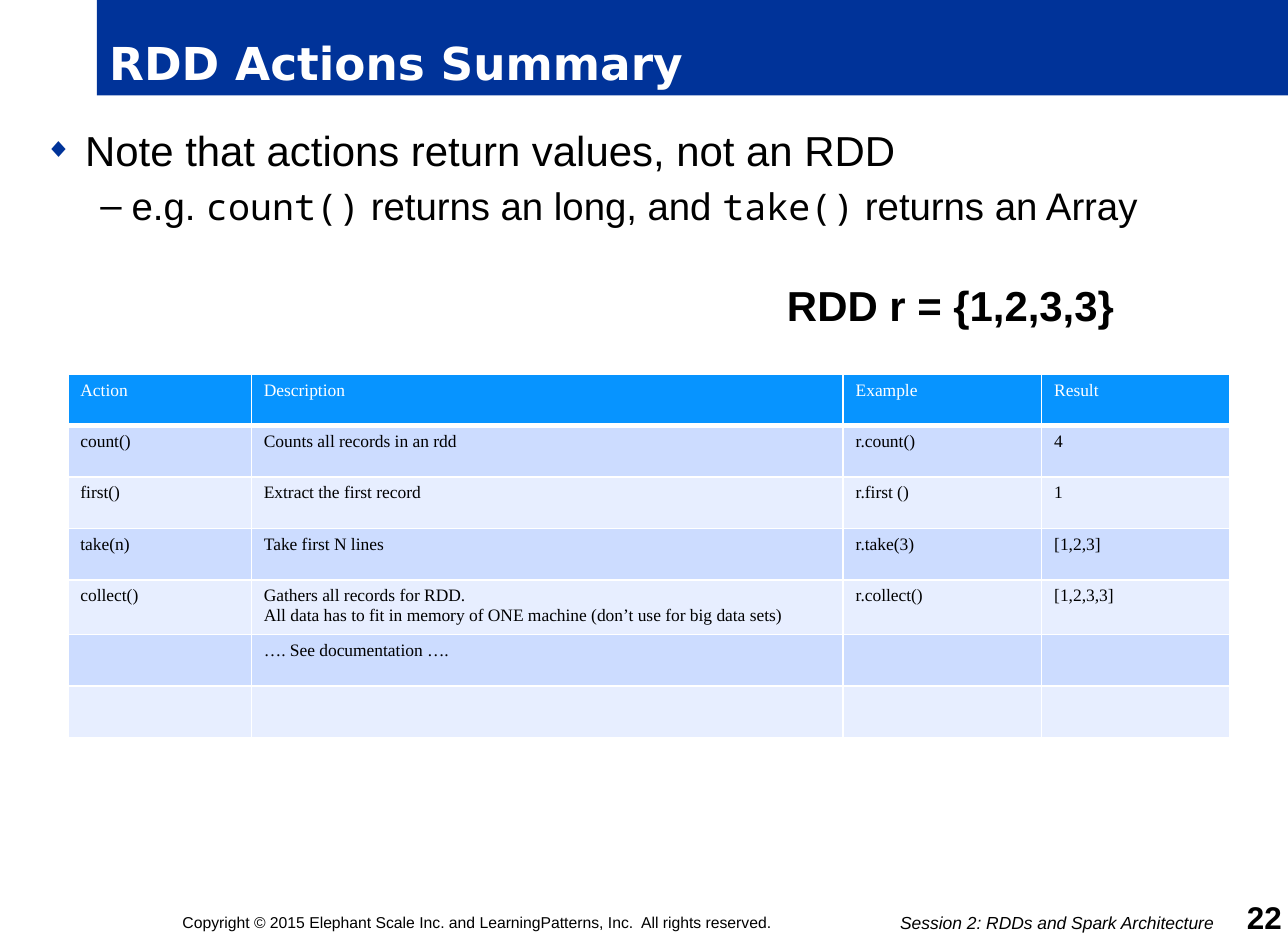
import pptx
import pptx.dml.color
import pptx.enum.shapes
import pptx.enum.text
import pptx.oxml
import pptx.oxml.ns
import pptx.util

Inches = pptx.util.Inches
Pt = pptx.util.Pt
RGBColor = pptx.dml.color.RGBColor
Align = pptx.enum.text.PP_ALIGN
Anchor = pptx.enum.text.MSO_ANCHOR

NAVY = RGBColor(0x00, 0x33, 0x99)
WHITE = RGBColor(0xFF, 0xFF, 0xFF)
BLACK = RGBColor(0x00, 0x00, 0x00)
HEADER_BLUE = RGBColor(0x07, 0x94, 0xFF)
BANDS = [RGBColor(0xE7, 0xEE, 0xFF), RGBColor(0xCC, 0xDC, 0xFF)]
NAMESPACE = pptx.oxml.ns.nsdecls("a")

ACTIONS = [
    ["Action", "Description", "Example", "Result"],
    ["count()", "Counts all records in an rdd", "r.count()", "4"],
    ["first()", "Extract the first record", "r.first ()", "1"],
    ["take(n)", "Take first N lines", "r.take(3)", "[1,2,3]"],
    ["collect()", "Gathers all records for RDD.\nAll data has to fit in memory of ONE machine "
     "(don’t use for big data sets)", "r.collect()", "[1,2,3,3]"],
    ["", "…. See documentation ….", "", ""],
    ["", "", "", ""],
]


def apply_format(target, values):
    """Set each named attribute on the target."""
    for name, value in values.items():
        setattr(target, name, value)


class SlideBuilder:
    """Adds styled elements to the current slide."""

    sans = {"name": "Arial"}
    code = {"name": "Noto Sans Mono", "size": Pt(21)}
    cell_font = {"name": "Times New Roman", "size": Pt(10)}

    def __init__(self, page):
        self.page = page

    def frame(self, box, anchor=Anchor.TOP, margins=(0.1, 0.05, 0.1, 0.05)):
        """Set wrapping, anchor and margins of a text frame."""
        sides = ["margin_left", "margin_top", "margin_right", "margin_bottom"]
        apply_format(box.text_frame, {"word_wrap": True, "vertical_anchor": anchor})
        apply_format(box.text_frame, dict(zip(sides, map(Inches, margins))))
        return box.text_frame

    def span(self, para, text, font, color=BLACK):
        """Add one formatted run."""
        span = para.add_run()
        span.text = text
        apply_format(span.font, font)
        span.font.color.rgb = color

    def title(self, place, text):
        """Add the title bar."""
        bar = self.page.shapes.add_shape(
            pptx.enum.shapes.MSO_SHAPE.RECTANGLE, *map(Inches, place))
        bar.shadow.inherit = False
        bar.fill.solid()
        bar.fill.fore_color.rgb = NAVY
        bar.line.fill.background()
        para = self.frame(bar, Anchor.BOTTOM).paragraphs[0]
        para.alignment = Align.LEFT
        self.span(para, text, {"name": "DejaVu Sans", "size": Pt(26), "bold": True}, WHITE)

    def label(self, place, text, font, align=Align.CENTER, **layout):
        """Add a text box with one line."""
        box = self.page.shapes.add_textbox(*map(Inches, place))
        para = self.frame(box, **layout).paragraphs[0]
        para.alignment = align
        self.span(para, text, self.sans | font)

    def bullets(self, place, items):
        """Add a bulleted list of mixed runs."""
        box = self.page.shapes.add_textbox(*map(Inches, place))
        frame = self.frame(box, margins=(0.1, 0.09, 0.1, 0.05))
        for index, (mark, color, scale, left, hang, before, spans) in enumerate(items):
            para = frame.add_paragraph() if index else frame.paragraphs[0]
            properties = para._p.get_or_add_pPr()
            properties.set("marL", str(Inches(left)))
            properties.set("indent", str(Inches(-hang)))
            properties.set("lvl", str(index))
            for element in (f'<a:buClr {NAMESPACE}><a:srgbClr val="{color}"/></a:buClr>',
                            f'<a:buSzPct {NAMESPACE} val="{scale * 1000}"/>',
                            f'<a:buFont {NAMESPACE} typeface="Arial"/>',
                            f'<a:buChar {NAMESPACE} char="{mark}"/>'):
                properties.append(pptx.oxml.parse_xml(element))
            para.space_before = Pt(before)
            for text, font in spans:
                self.span(para, text, font)

    def border(self, cell, bottom):
        """Draw white lines around a cell."""
        for side, width in {"L": 1, "R": 1, "T": 1, "B": bottom}.items():
            cell._tc.get_or_add_tcPr().append(pptx.oxml.parse_xml(
                f'<a:ln{side} {NAMESPACE} w="{Pt(width)}"><a:solidFill>'
                f'<a:srgbClr val="{WHITE}"/></a:solidFill></a:ln{side}>'))

    def table(self, place, rows, widths, height):
        """Add a banded table with a header row."""
        grid = self.page.shapes.add_table(
            len(rows), len(widths), *map(Inches, place)).table
        for column, width in zip(grid.columns, widths):
            column.width = Inches(width)
        for index, texts in enumerate(rows):
            grid.rows[index].height = Inches(height)
            for column, text in enumerate(texts):
                cell = grid.cell(index, column)
                self.border(cell, 1 if index else 3)
                cell.fill.solid()
                cell.fill.fore_color.rgb = BANDS[index % 2] if index else HEADER_BLUE
                for number, line in enumerate(text.splitlines()):
                    frame = cell.text_frame
                    para = frame.add_paragraph() if number else frame.paragraphs[0]
                    font = self.cell_font | {"bold": False}
                    self.span(para, line, font, BLACK if index else WHITE)


def main():
    """Build and save the slide."""
    deck = pptx.Presentation()
    apply_format(deck, {"slide_width": Inches(10.25), "slide_height": Inches(7.5)})
    builder = SlideBuilder(deck.slides.add_slide(deck.slide_layouts[6]))
    large = builder.sans | {"size": Pt(24)}
    medium = builder.sans | {"size": Pt(22)}
    flush = {"margins": (0, 0, 0, 0)}

    builder.title((0.77, 0, 9.48, 0.76), "RDD Actions Summary")
    builder.bullets((0.26, 0.9, 9.74, 1.1), [
        ("◆", NAVY, 65, 0.32, 0.32, 0,
         [("Note that actions return values, not an RDD", large)]),
        ("–", BLACK, 100, 0.69, 0.25, 4.4,
         [("e.g. ", medium), ("count()", builder.code),
          (" returns an long, and ", medium), ("take()", builder.code),
          (" returns an Array", medium)]),
    ])
    builder.label(
        (1.38, 7.23, 4.83, 0.19),
        "Copyright © 2015 Elephant Scale Inc. and LearningPatterns, Inc.  All rights reserved.",
        {"size": Pt(9)}, anchor=Anchor.BOTTOM, **flush)
    builder.label((9.6, 7.2, 0.6, 0.25), "22", {"size": Pt(18), "bold": True},
                  Align.RIGHT, anchor=Anchor.BOTTOM, **flush)
    builder.label((7.12, 7.26, 2.58, 0.23), "Session 2: RDDs and Spark Architecture",
                  {"size": Pt(10), "italic": True}, **flush)
    builder.label((5.88, 2.18, 3.37, 0.5), "RDD r = {1,2,3,3}",
                  {"size": Pt(24), "bold": True})
    builder.table((0.54, 2.98, 9.25, 2.87), ACTIONS, [1.46, 4.71, 1.58, 1.5], 0.41)
    deck.save("out.pptx")


if __name__ == "__main__":
    main()
